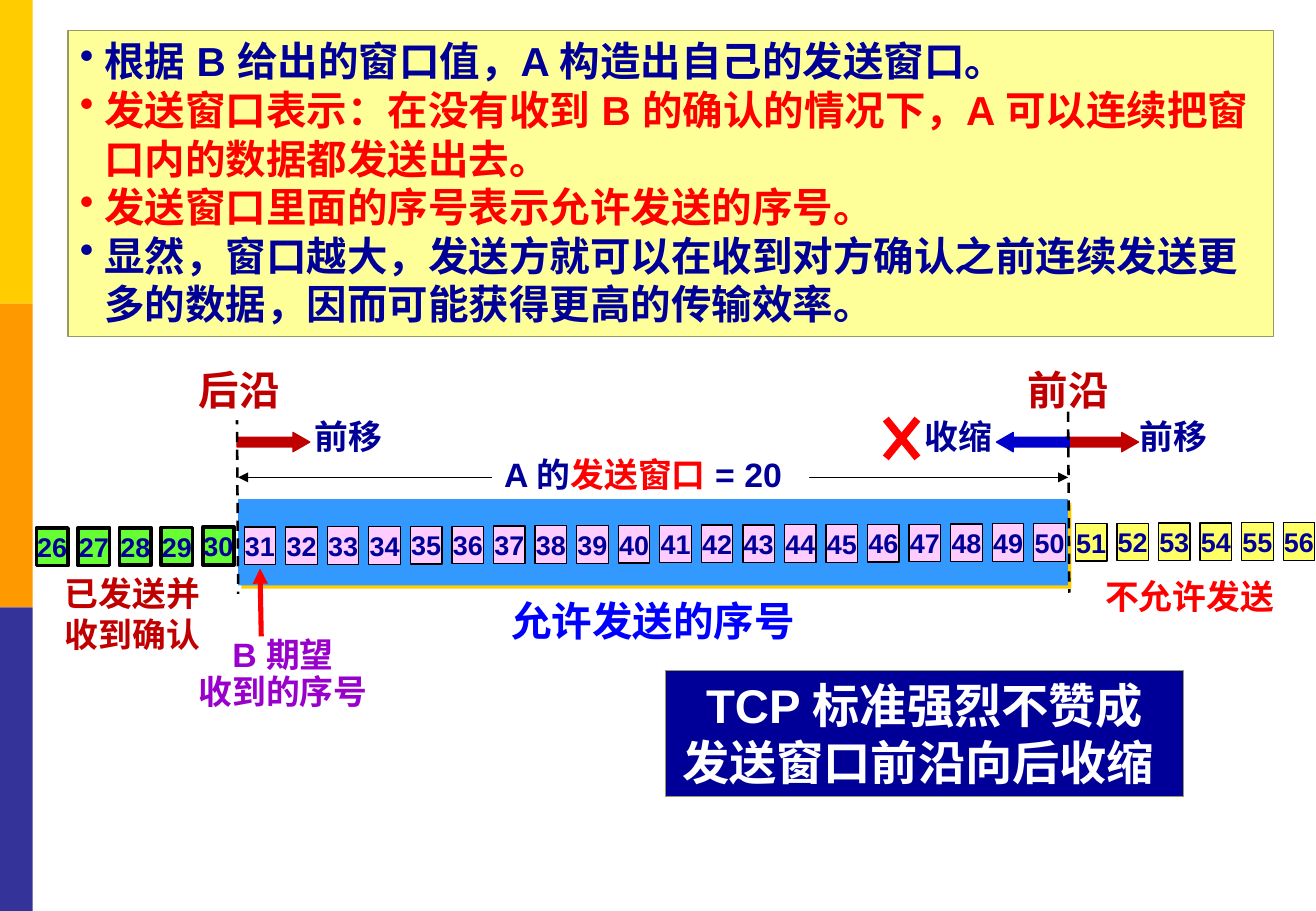
from lxml import etree
from pptx import Presentation
from pptx import util as u
from pptx.dml.color import RGBColor
from pptx.enum import dml, shapes, text
from pptx.oxml.ns import qn

HUES = {
    "gold": "FFCC00", "orange": "FF9900", "indigo": "333399", "white": "FFFFFF",
    "navy": "000099", "crimson": "C00000", "blue": "0000CC", "bright": "0000FF",
    "red": "FF0000", "black": "000000", "sky": "3399FF", "green": "66FF33",
    "pink": "FFCCFF", "yellow": "FFFF66", "purple": "9900CC", "cream": "FFFF99",
    "olive": "999966",
}
FONT = "Arial"
WIDE, HIGH = 10.83, 7.5
COLS, ROWS = 108.3, 75
FORMS = shapes.MSO_SHAPE


def hue(name):
    return RGBColor.from_string(HUES[name])


def sub(node, tag, **attrs):
    return etree.SubElement(node, qn(tag), attrs)


def write(para, words, size=20, tone="navy"):
    run = para.add_run()
    run.text = words
    font = run.font
    font.name, font.size, font.bold = FONT, u.Pt(size), True
    font.color.rgb = hue(tone)
    sub(run._r.get_or_add_rPr(), "a:ea", typeface=FONT)


class Board:
    def __init__(self, deck):
        self.slide = deck.slides.add_slide(deck.slide_layouts[6])
        self.items = self.slide.shapes

    def x(self, cols):
        return u.Inches(cols * WIDE / COLS)

    def y(self, rows):
        return u.Inches(rows * HIGH / ROWS)

    def area(self, left, top, wide, high):
        return self.x(left), self.y(top), self.x(wide), self.y(high)

    def block(self, area, fill, edge=None, width=0.75, form=FORMS.RECTANGLE):
        shape = self.items.add_shape(form, *self.area(*area))
        shape.shadow.inherit = False
        shape.fill.solid()
        shape.fill.fore_color.rgb = hue(fill)
        if edge:
            shape.line.color.rgb = hue(edge)
            shape.line.width = u.Pt(width)
        else:
            shape.line.fill.background()
        return shape

    def arrow(self, left, tone, form=FORMS.RIGHT_ARROW):
        shape = self.block((left, 35.6, 6, 1.6), tone, tone, form=form)
        shape.adjustments[0], shape.adjustments[1] = 0.5, 0.87

    def line(self, start, end, tone="black", width=0.75, dash=False, tips=()):
        link = self.items.add_connector(
            shapes.MSO_CONNECTOR.STRAIGHT,
            self.x(start[0]), self.y(start[1]), self.x(end[0]), self.y(end[1]))
        link.line.color.rgb = hue(tone)
        link.line.width = u.Pt(width)
        if dash:
            link.line.dash_style = dml.MSO_LINE.DASH
        props = link._element.spPr
        for tip in tips:
            sub(props.find(qn("a:ln")), tip, type="triangle")
        sub(props, "a:effectLst")

    def label(self, area, lines, size=20, tone="navy", fill="white", edge=None,
              width=0.75, wrap=False, middle=False, bullet=False,
              align=text.PP_ALIGN.CENTER, lead=None):
        if fill:
            shape = self.block(area, fill, edge, width)
        else:
            shape = self.items.add_textbox(*self.area(*area))
        frame = shape.text_frame
        frame.word_wrap = wrap
        frame.vertical_anchor = text.MSO_ANCHOR.MIDDLE if middle else text.MSO_ANCHOR.TOP
        if middle:
            frame.margin_left = frame.margin_right = 0
        for i, parts in enumerate(lines):
            para = frame.paragraphs[0] if i == 0 else frame.add_paragraph()
            para.alignment = align
            if lead:
                para.line_spacing = lead
            if bullet:
                props = para._p.get_or_add_pPr()
                props.set("marL", str(self.x(2)))
                props.set("indent", str(-self.x(2)))
                sub(props, "a:buChar", char="•")
            for part in [parts] if isinstance(parts, str) else parts:
                words, shade = (part, tone) if isinstance(part, str) else part
                write(para, words, size=size, tone=shade)

    def cell(self, spot, number):
        fill, width = ("green", 2.25) if number < 31 else (
            ("pink", 0.75) if number < 51 else ("yellow", 0.75))
        self.label((3 + 3.42 * spot, 43.47 - 0.015 * spot, 2.6, 3.1), [str(number)],
                   size=16, fill=fill, edge="black", width=width, middle=True)


def main():
    deck = Presentation()
    deck.slide_width, deck.slide_height = u.Inches(WIDE), u.Inches(HIGH)
    board = Board(deck)
    left = text.PP_ALIGN.LEFT
    head, tail = "a:headEnd", "a:tailEnd"

    for i, tone in enumerate(("gold", "orange", "indigo")):
        board.block((0, 25 * i, 2.7, 25), tone)

    board.label((92.8, 33.7, 7.6, 4.4), ["前移"])
    board.arrow(87.7, "crimson")
    board.arrow(82, "blue", FORMS.LEFT_ARROW)
    board.arrow(19.5, "crimson")
    board.label((89.9, 46.9, 16, 4.4), ["不允许发送"], tone="red")
    board.label((4.3, 46.7, 13.2, 7.7), ["已发送并", "收到确认"], tone="crimson")
    board.line((19.6, 39.3), (87.9, 39.3), tips=(head, tail))
    board.label((40.5, 36.9, 26.1, 4.4),
                [["A 的", ("发送窗口 ", "red"), "= 20"]], align=left)
    board.label((40.9, 48.6, 25.7, 5), ["允许发送的序号"], size=24, tone="bright")

    window = board.block((19.6, 41.1, 68.3, 7.1), "sky")
    glow = sub(window._element.spPr.find(qn("a:effectLst")), "a:outerShdw",
               blurRad="0", dist=str(u.Pt(2.8)), dir="2700000",
               algn="ctr", rotWithShape="0")
    sub(glow, "a:srgbClr", val=HUES["gold"])
    for spot, number in enumerate(range(26, 57)):
        board.cell(spot, number)

    board.line((21.5, 52.4), (21.4, 46.8), "red", 3, tips=(tail,))
    board.label((15.3, 52.1, 16, 7.1), ["B 期望", "收到的序号"],
                tone="purple", fill=None, lead=0.9)
    board.line((19.5, 34.1), (19.6, 48.9), width=1.5, dash=True)
    for col, words in ((83.5, "前沿"), (15.3, "后沿")):
        board.label((col, 29.6, 8.8, 5), [words], size=24, tone="crimson")
    board.line((87.9, 33.9), (88, 48.8), width=1.5, dash=True)
    for col, words in ((24.9, "前移"), (75.1, "收缩")):
        board.label((col, 33.7, 7.6, 4.4), [words], fill=None)
    for start, end in ((75.5, 72.9), (72.9, 75.5)):
        board.line((start, 34.5), (end, 37.7), "red", 4.5)

    board.label((5.6, 2.5, 99.2, 25.2), [
        "根据 B 给出的窗口值，A 构造出自己的发送窗口。",
        [("发送窗口表示：在没有收到 B 的确认的情况下，A 可以连续把窗口内的数据都发送出去。", "red")],
        [("发送窗口里面的序号表示允许发送的序号。", "red")],
        "显然，窗口越大，发送方就可以在收到对方确认之前连续发送更多的数据，因而可能获得更高的传输效率。",
    ], size=24, fill="cream", edge="olive", wrap=True, bullet=True, align=left)
    board.label((54.8, 55.2, 42.6, 10.4), ["TCP 标准强烈不赞成", "发送窗口前沿向后收缩 "],
                size=28, tone="white", fill="navy", edge="olive")
    deck.save("out.pptx")


if __name__ == "__main__":
    main()
